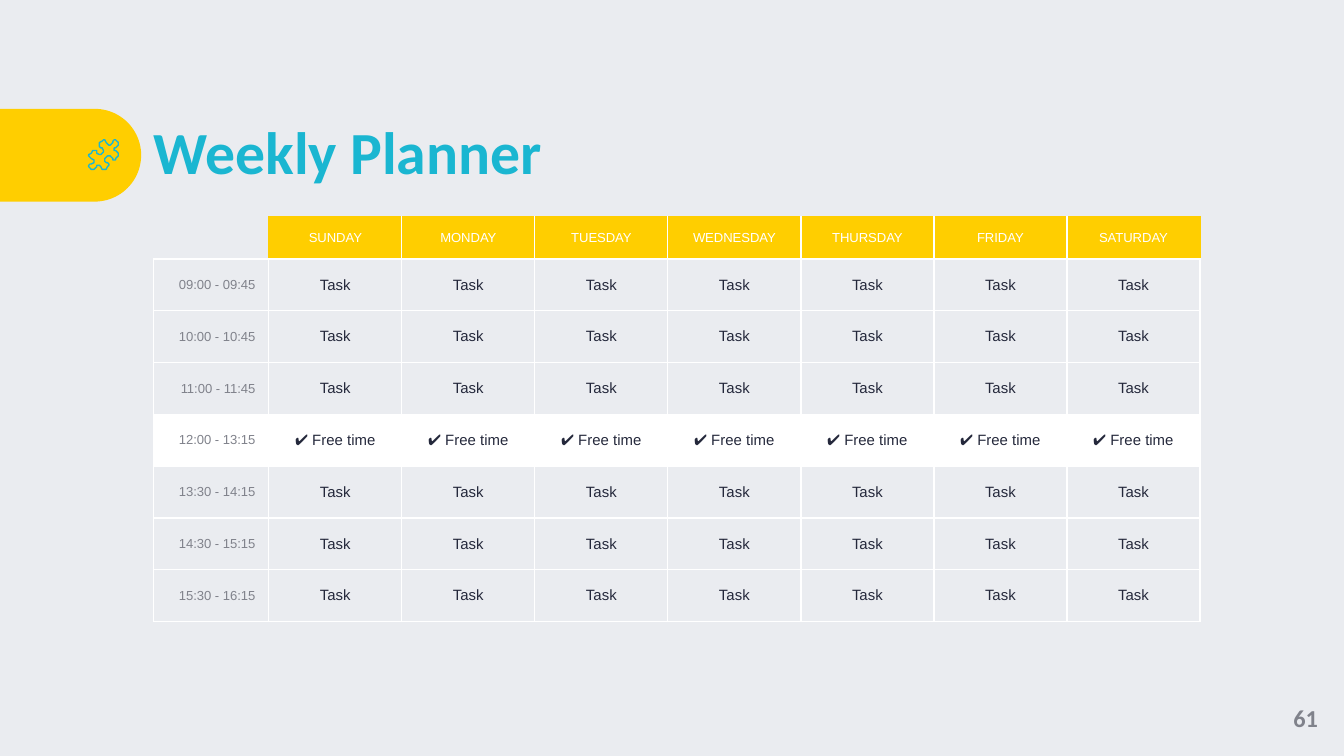
from dataclasses import dataclass

from lxml import etree
from pptx import Presentation
from pptx.dml.color import RGBColor
from pptx.enum.shapes import MSO_SHAPE
from pptx.enum.text import MSO_ANCHOR, PP_ALIGN
from pptx.oxml.ns import qn
from pptx.util import Inches, Pt


@dataclass(frozen=True)
class Theme:
    background: str = "EAECF0"
    accent: str = "FFCE00"
    title: str = "1AB6D1"
    muted: str = "80828B"
    ink: str = "24283B"
    white: str = "FFFFFF"
    heading_font: str = "Calibri"
    body_font: str = "Arial"
    title_size: float = 32
    number_size: float = 13
    label_size: float = 7
    task_size: float = 8
    line_width: float = 0.75


THEME = Theme()
DAYS = ["SUNDAY", "MONDAY", "TUESDAY", "WEDNESDAY", "THURSDAY", "FRIDAY", "SATURDAY"]
TIMES = ["09:00 - 09:45", "10:00 - 10:45", "11:00 - 11:45", "12:00 - 13:15",
         "13:30 - 14:15", "14:30 - 15:15", "15:30 - 16:15"]
BREAK_TIME = "12:00 - 13:15"
PUZZLE_OUTLINE = [
    (20, 6), (21, 5), (22, 4), (22, 2), (21, 1), (20, 0.3), (19, 0), (18, 1),
    (17.5, 2), (17, 3), (16, 4), (15, 4), (14, 3), (13, 1.5), (12, 0.5), (11, 0),
    (10, 1), (8.5, 2.5), (8, 4), (8, 5), (9, 6), (10, 6.5), (11, 7.5), (11, 9),
    (10, 10), (9, 11), (8, 11), (6.5, 10.5), (6, 9), (5.5, 8), (4.5, 7.6), (3, 8),
    (1.5, 9.5), (0.3, 11), (0.3, 12), (1, 13), (2.5, 14), (4, 15), (4.2, 16),
    (3.5, 17), (2, 17.5), (1, 18), (0, 19), (0.3, 20.5), (1.5, 22), (3, 22.3),
    (4.5, 22), (5, 21), (5.5, 20), (6.5, 19), (8, 19), (9, 20), (10, 21.5),
    (11, 22), (12, 22), (13, 21.5), (14.5, 20), (15, 19), (15, 18), (14.5, 17),
    (13, 16.8), (12, 16), (11.5, 15), (12, 14), (13, 13), (14, 12), (15, 11.7),
    (16, 12), (17, 13), (17.5, 14.5), (18.3, 15), (19.5, 15), (20.5, 14),
    (21.5, 12.5), (22, 11), (22, 10), (21, 9), (20, 8.5), (19, 7.5), (19, 6.5),
]


def color(value):
    return RGBColor.from_string(value)


def add_span(para, text, size, fill, font, bold=False):
    span = para.add_run()
    span.text = text
    span.font.size = Pt(size)
    span.font.name = font
    span.font.bold = bold
    span.font.color.rgb = color(fill)


def add_heading(page, left, top, width, height, text, size, fill, align):
    box = page.shapes.add_textbox(Inches(left), Inches(top), Inches(width), Inches(height))
    frame = box.text_frame
    frame.word_wrap = True
    frame.vertical_anchor = MSO_ANCHOR.MIDDLE
    frame.margin_left = frame.margin_right = frame.margin_top = frame.margin_bottom = 0
    para = frame.paragraphs[0]
    para.alignment = align
    add_span(para, text, size, fill, THEME.heading_font, bold=True)
    return para


def add_tab(page, left, top, width, height):
    tab = page.shapes.add_shape(
        MSO_SHAPE.ROUND_2_SAME_RECTANGLE,
        Inches(left + (width - height) / 2), Inches(top - (width - height) / 2),
        Inches(height), Inches(width))
    tab.rotation = 90
    tab.adjustments[0] = 0.5
    tab.adjustments[1] = 0
    tab.shadow.inherit = False
    tab.fill.solid()
    tab.fill.fore_color.rgb = color(THEME.accent)
    tab.line.fill.background()


def add_puzzle_icon(page, left, top):
    start, *rest = PUZZLE_OUTLINE
    builder = page.shapes.build_freeform(*start, scale=Inches(0.01))
    builder.add_line_segments(rest, close=True)
    icon = builder.convert_to_shape(Inches(left), Inches(top))
    icon.shadow.inherit = False
    icon.fill.background()
    icon.line.color.rgb = color(THEME.title)
    icon.line.width = Pt(THEME.line_width)


def set_borders(cell, **sides):
    properties = cell._tc.get_or_add_tcPr()
    for side in "LRTB":
        line = etree.SubElement(properties, qn(f"a:ln{side}"), w=str(Pt(THEME.line_width)))
        fill = sides.get(side, THEME.white)
        if fill is None:
            etree.SubElement(line, qn("a:noFill"))
        else:
            solid = etree.SubElement(line, qn("a:solidFill"))
            etree.SubElement(solid, qn("a:srgbClr"), val=fill)


def fill_cell(cell, text, size, ink, align=PP_ALIGN.CENTER, fill=None):
    cell.margin_left = cell.margin_right = cell.margin_top = cell.margin_bottom = Inches(0.1)
    cell.vertical_anchor = MSO_ANCHOR.MIDDLE
    if fill:
        cell.fill.solid()
        cell.fill.fore_color.rgb = color(fill)
    else:
        cell.fill.background()
    para = cell.text_frame.paragraphs[0]
    para.alignment = align
    if text:
        add_span(para, text, size, ink, THEME.body_font)
    else:
        etree.SubElement(para._p, qn("a:endParaRPr"), sz=str(int(size * 100)))


def add_planner(page, left, top, width, height):
    time_width, header_height = Inches(0.86), Inches(0.31)
    frame = page.shapes.add_table(
        len(TIMES) + 1, len(DAYS) + 1,
        Inches(left), Inches(top), Inches(width), Inches(height))
    table = frame.table
    table.first_row = False
    table.horz_banding = False
    day_width = (Inches(width) - time_width) // len(DAYS)
    slot_height = (Inches(height) - header_height) // len(TIMES)
    for index, column in enumerate(table.columns):
        column.width = day_width if index else time_width
    for index, row in enumerate(table.rows):
        row.height = slot_height if index else header_height

    corner = table.cell(0, 0)
    set_borders(corner, L=None, T=None, R=THEME.accent)
    fill_cell(corner, "", THEME.label_size, THEME.white)
    for index, day in enumerate(DAYS, 1):
        cell = table.cell(0, index)
        set_borders(cell, T=THEME.accent,
                    L=THEME.accent if index == 1 else THEME.white,
                    R=THEME.accent if index == len(DAYS) else THEME.white)
        fill_cell(cell, day, THEME.label_size, THEME.white, fill=THEME.accent)
    for row, time in enumerate(TIMES, 1):
        is_break = time == BREAK_TIME
        fill = THEME.white if is_break else None
        task = "✔ Free time" if is_break else "Task"
        for column in range(len(DAYS) + 1):
            cell = table.cell(row, column)
            set_borders(cell)
            if column:
                fill_cell(cell, task, THEME.task_size, THEME.ink, fill=fill)
            else:
                fill_cell(cell, time, THEME.label_size, THEME.muted, PP_ALIGN.RIGHT, fill)


def main():
    deck = Presentation()
    deck.slide_width = Inches(10)
    deck.slide_height = deck.slide_width * 9 // 16
    page = deck.slides.add_slide(deck.slide_layouts[6])
    page.background.fill.solid()
    page.background.fill.fore_color.rgb = color(THEME.background)
    add_tab(page, 0, 0.81, 1.05, 0.69)
    title = add_heading(page, 1.14, 0.81, 7.88, 0.69, "Weekly Planner",
                        THEME.title_size, THEME.title, PP_ALIGN.LEFT)
    title.line_spacing = 0.9
    add_heading(page, 9.43, 5.06, 0.57, 0.56, "61",
                THEME.number_size, THEME.muted, PP_ALIGN.CENTER)
    add_planner(page, 1.14, 1.61, 7.79, 3.01)
    add_puzzle_icon(page, 0.66, 1.04)
    deck.save("out.pptx")


if __name__ == "__main__":
    main()
